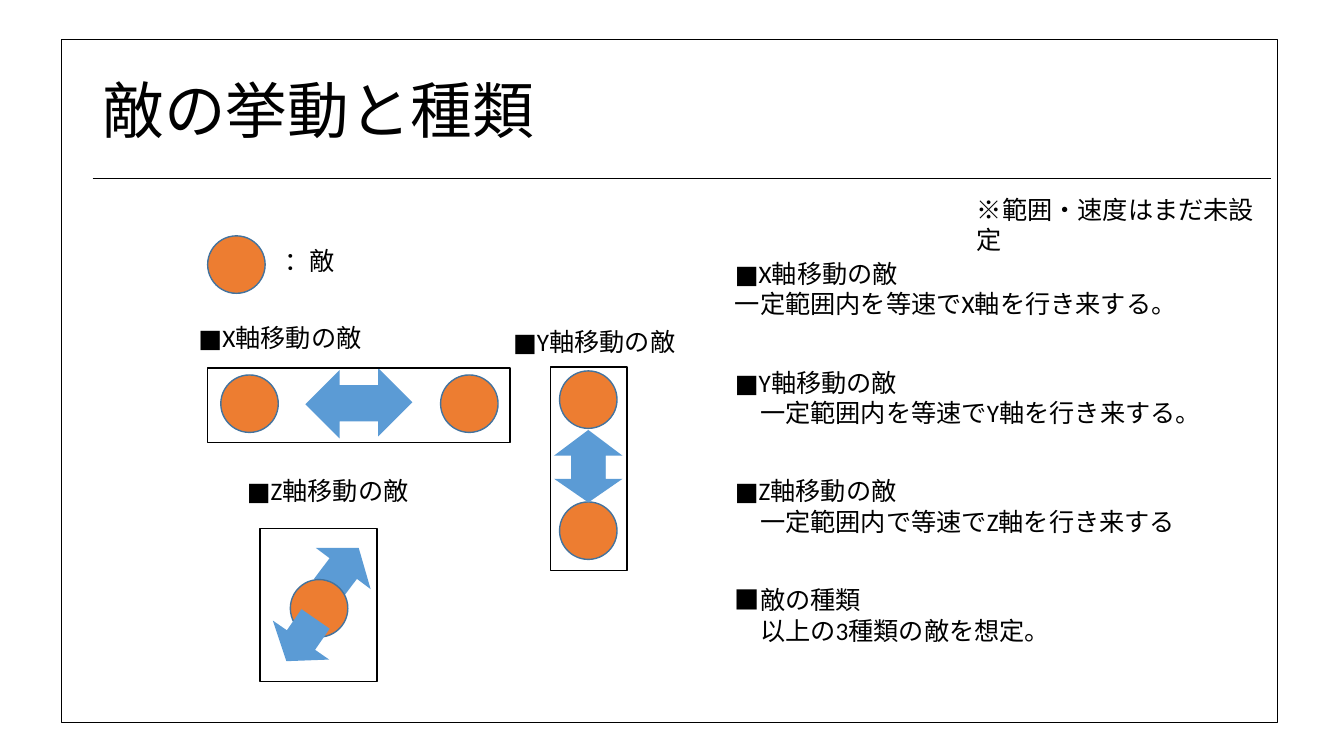
from dataclasses import dataclass

import lxml.etree
import pptx
import pptx.dml.color
import pptx.enum.shapes
import pptx.enum.text
import pptx.oxml.ns
import pptx.presentation
import pptx.shapes.autoshape
import pptx.slide
import pptx.util

MSO_SHAPE = pptx.enum.shapes.MSO_SHAPE
RGBColor = pptx.dml.color.RGBColor

SLIDE_W = pptx.util.Inches(13.33)
SLIDE_H = pptx.util.Inches(7.5)
CELL = SLIDE_H / 75  # square grid, 75 rows high

BLACK = RGBColor(0x00, 0x00, 0x00)
ORANGE = RGBColor(0xED, 0x7D, 0x31)
BLUE = RGBColor(0x5B, 0x9B, 0xD5)
DARK_BLUE = RGBColor(0x43, 0x73, 0x9E)

ENEMY_SIZE = 5.7
ARROW_BREADTH = 6.8
LABEL_H = 4
NOTE_COL, NOTE_ROW, NOTE_STEP = 71.9, 25.1, 10.8
NOTE_W, NOTE_H = 67.9, 7.1


@dataclass(frozen=True)
class Enemy:
    col: float
    row: float


@dataclass(frozen=True)
class Arrow:
    col: float
    row: float
    length: float
    rotation: float = 0
    flipped: bool = False


@dataclass(frozen=True)
class Frame:
    col: float
    row: float
    cols: float
    rows: float


@dataclass(frozen=True)
class Label:
    col: float
    row: float
    cols: float
    text: str


LEGEND_ENEMY = Enemy(20.6, 23.4)
X_MOVE = [Enemy(21.9, 37.2), Enemy(43.7, 37.2),
          Arrow(33.5, 36.5, 7.4), Arrow(30.3, 36.7, 7.4, flipped=True),
          Frame(20.6, 36.5, 30, 7.4)]
Y_MOVE = [Enemy(55.5, 36.8), Enemy(55.5, 49.8),
          Arrow(56, 44.1, 4.7, 90), Arrow(55.8, 41.8, 5.1, 90, flipped=True),
          Frame(54.6, 36.4, 7.6, 20.2)]
Z_MOVE = [Arrow(31.5, 53, 5.1, 127, flipped=True), Enemy(28.8, 57.5),
          Arrow(27.3, 60.1, 5.1, 304.7, flipped=True),
          Frame(25.8, 52.4, 11.6, 15.2)]
SLIDE_FRAME = Frame(6.1, 3.9, 120.6, 67.8)

LABELS = [
    Label(27.2, 23.8, 13.8, "：敵"),
    Label(95.9, 18.8, 31.3, "※範囲・速度はまだ未設定"),
    Label(18.7, 31.5, 21.8, "■X軸移動の敵"),
    Label(49.9, 31.9, 21.8, "■Y軸移動の敵"),
    Label(23.5, 46.7, 21.8, "■Z軸移動の敵"),
]
NOTES = [
    ("■X軸移動の敵", "一定範囲内を等速でX軸を行き来する。"),
    ("■Y軸移動の敵", "　一定範囲内を等速でY軸を行き来する。"),
    ("■Z軸移動の敵", "　一定範囲内で等速でZ軸を行き来する"),
    ("■敵の種類", "　以上の3種類の敵を想定。"),
]

BODY_FONT = {"name": "Calibri", "size": pptx.util.Pt(18)}
TITLE_FONT = {"name": "Calibri", "size": pptx.util.Pt(44)}
BODY_FRAME = {"word_wrap": True,
              "auto_size": pptx.enum.text.MSO_AUTO_SIZE.SHAPE_TO_FIT_TEXT}
TITLE_FRAME = {"word_wrap": True,
               "vertical_anchor": pptx.enum.text.MSO_ANCHOR.MIDDLE}


def grid(*cells: float) -> list[int]:
    """Turn grid cells into slide lengths."""
    return [round(n * CELL) for n in cells]


def apply(target: object, values: dict) -> None:
    for name, value in values.items():
        setattr(target, name, value)


def add_text(slide: pptx.slide.Slide, box: Frame, lines: tuple[str, ...],
             font: dict = BODY_FONT, frame: dict = BODY_FRAME,
             line_spacing: float | None = None) -> None:
    tf = slide.shapes.add_textbox(
        *grid(box.col, box.row, box.cols, box.rows)).text_frame
    apply(tf, frame)
    for i, line in enumerate(lines):
        p = tf.add_paragraph() if i else tf.paragraphs[0]
        p.line_spacing = line_spacing
        r = p.add_run()
        r.text = line
        apply(r.font, font)
        r.font.color.rgb = BLACK


def add_preset(slide: pptx.slide.Slide, kind: MSO_SHAPE, box: Frame,
               fill: RGBColor | None,
               line: RGBColor | None) -> pptx.shapes.autoshape.Shape:
    s = slide.shapes.add_shape(
        kind, *grid(box.col, box.row, box.cols, box.rows))
    s.shadow.inherit = False
    if fill is None:
        s.fill.background()
    else:
        s.fill.solid()
        s.fill.fore_color.rgb = fill
    if line is None:
        s.line.fill.background()
    else:
        s.line.color.rgb = line
        s.line.width = pptx.util.Pt(1)
    return s


def draw(slide: pptx.slide.Slide, part: Enemy | Arrow | Frame) -> None:
    if isinstance(part, Enemy):
        box = Frame(part.col, part.row, ENEMY_SIZE, ENEMY_SIZE)
        add_preset(slide, MSO_SHAPE.OVAL, box, ORANGE, DARK_BLUE)
    elif isinstance(part, Arrow):
        box = Frame(part.col, part.row, part.length, ARROW_BREADTH)
        s = add_preset(slide, MSO_SHAPE.RIGHT_ARROW, box, BLUE, None)
        s.rotation = part.rotation
        if part.flipped:
            s.element.spPr.find(pptx.oxml.ns.qn("a:xfrm")).set("flipH", "1")
    else:
        add_preset(slide, MSO_SHAPE.RECTANGLE, part, None, BLACK)


def add_title_rule(slide: pptx.slide.Slide) -> None:
    rule = slide.shapes.add_connector(
        pptx.enum.shapes.MSO_CONNECTOR.STRAIGHT,
        *grid(9.2, 17.7, 126.1, 17.7))
    rule.line.color.rgb = BLACK
    rule.line.width = pptx.util.Pt(0.5)
    lxml.etree.SubElement(rule.element.spPr,
                          pptx.oxml.ns.qn("a:effectLst"))


def build() -> pptx.presentation.Presentation:
    prs = pptx.Presentation()
    apply(prs, {"slide_width": SLIDE_W, "slide_height": SLIDE_H})
    slide = prs.slides.add_slide(prs.slide_layouts[6])
    add_text(slide, Frame(9.2, 4, 115, 14.5), ("敵の挙動と種類",),
             TITLE_FONT, TITLE_FRAME, line_spacing=0.9)
    add_title_rule(slide)
    for part in [LEGEND_ENEMY, *X_MOVE, *Y_MOVE, *Z_MOVE, SLIDE_FRAME]:
        draw(slide, part)
    for label in LABELS:
        add_text(slide, Frame(label.col, label.row, label.cols, LABEL_H),
                 (label.text,))
    for i, lines in enumerate(NOTES):
        row = NOTE_ROW + i * NOTE_STEP
        add_text(slide, Frame(NOTE_COL, row, NOTE_W, NOTE_H), lines)
    return prs


if __name__ == "__main__":
    build().save("out.pptx")
